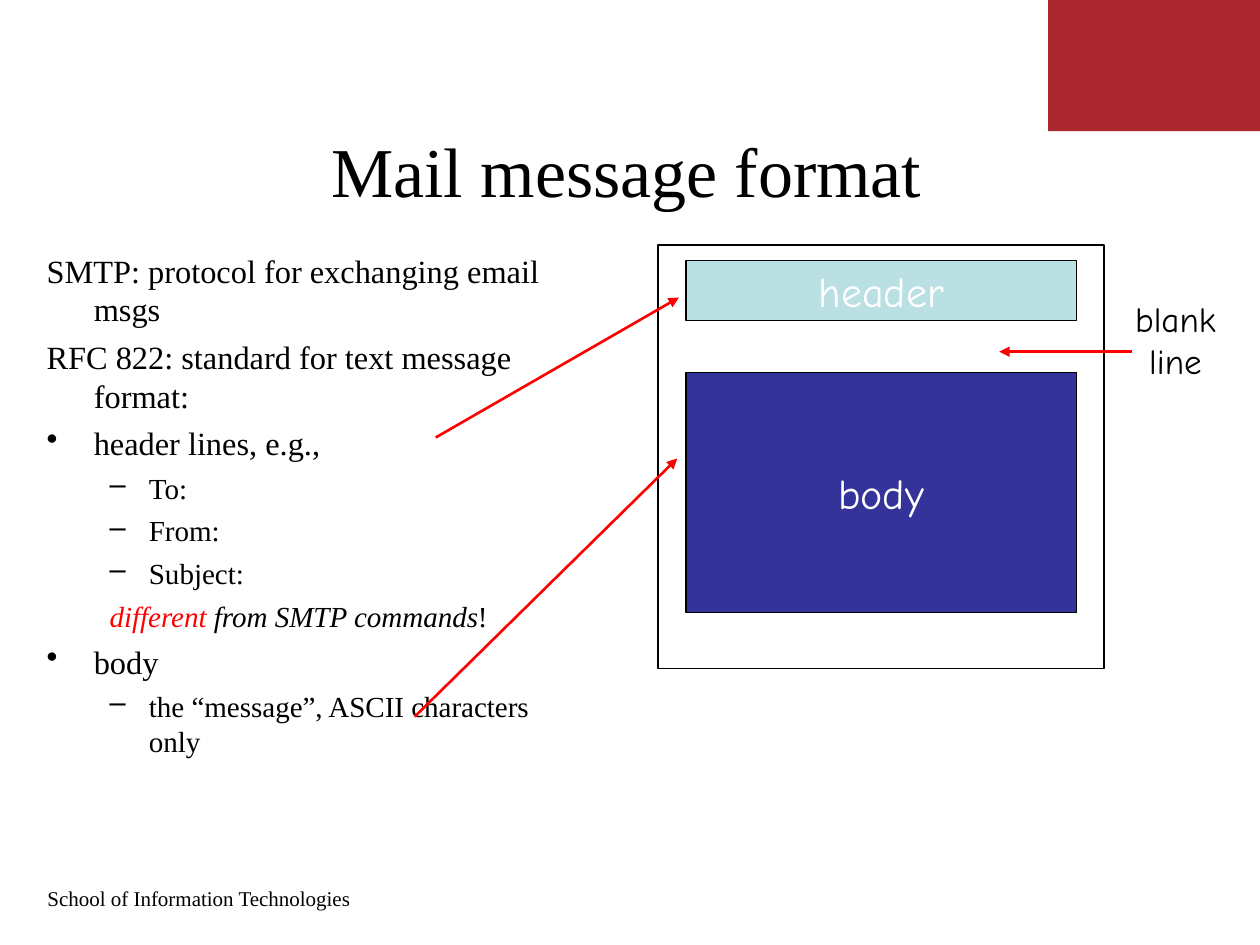
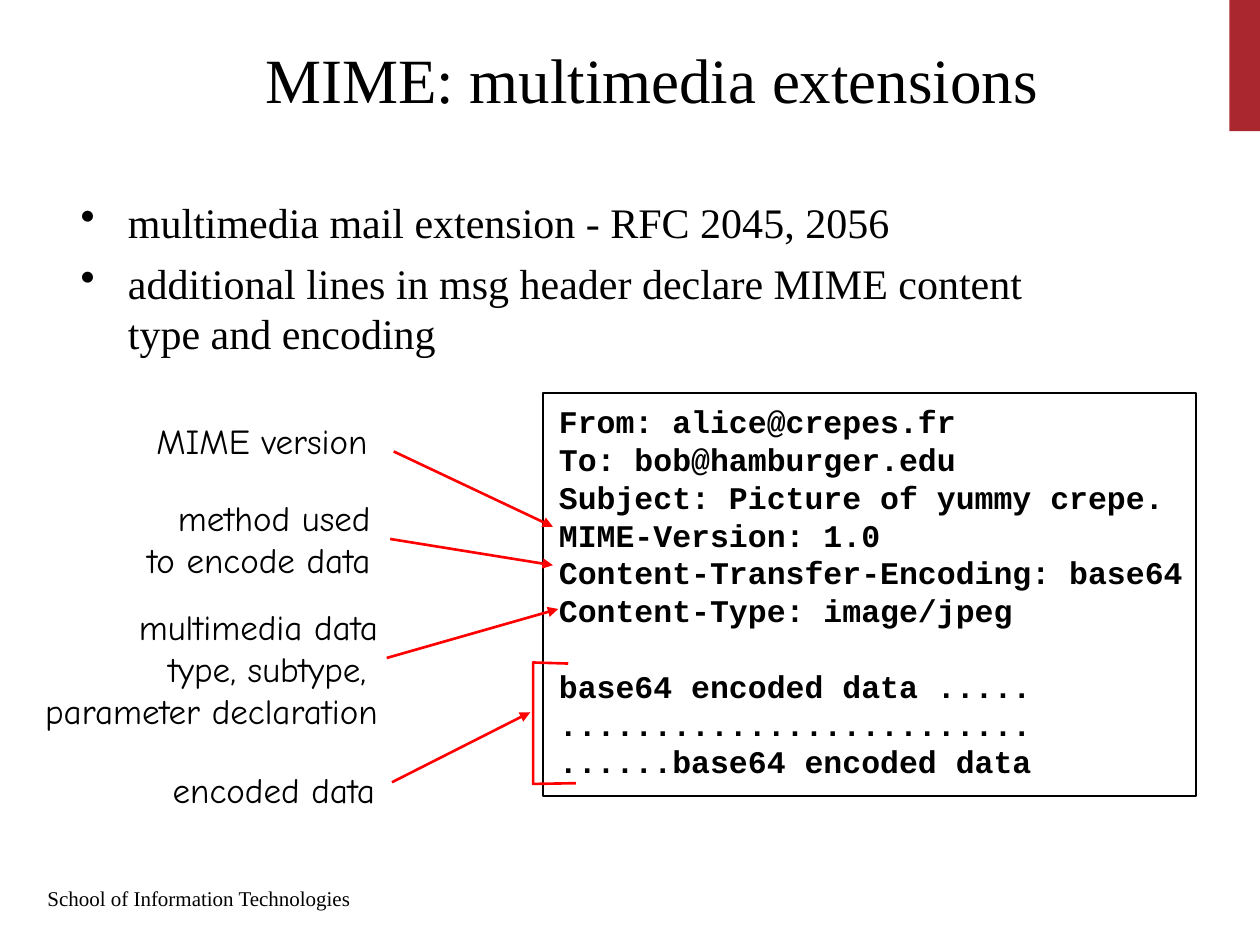
from dataclasses import dataclass
from typing import Optional

from lxml.etree import SubElement
from pptx import Presentation
from pptx.dml.color import RGBColor
from pptx.enum.shapes import MSO_CONNECTOR as Connector, MSO_SHAPE as Preset
from pptx.enum.text import MSO_ANCHOR as Anchor, PP_ALIGN as Align
from pptx.oxml.ns import qn
from pptx.util import Pt

BLACK = RGBColor(0x00, 0x00, 0x00)
WHITE = RGBColor(0xFF, 0xFF, 0xFF)
RED = RGBColor(0xFF, 0x00, 0x00)
BAND_RED = RGBColor(0xAB, 0x27, 0x30)
HEADER_TEAL = RGBColor(0xBB, 0xE0, 0xE3)
BODY_BLUE = RGBColor(0x33, 0x33, 0x99)
SERIF, CASUAL, MONO = "Times New Roman", "Comic Neue", "Courier New"
LINE_HEIGHT = 1.2


@dataclass(frozen=True)
class Box:
    """A rectangle in points."""
    left: float
    top: float
    width: float
    height: float

    def lengths(self) -> tuple:
        """Return left, top, width and height as lengths."""
        return Pt(self.left), Pt(self.top), Pt(self.width), Pt(self.height)


@dataclass(frozen=True)
class Style:
    """The look of a paragraph, with lengths in points."""
    size: float
    font: str = SERIF
    color: RGBColor = BLACK
    bold: bool = False
    align: Align = Align.LEFT
    before: float = 0
    margin: float = 0
    hanging: float = 0
    bullet: str = ""


@dataclass(frozen=True)
class Line:
    """A paragraph of text with its style."""
    text: str
    style: Style


@dataclass(frozen=True)
class Label:
    """A caption and the arrow that leads from it."""
    box: Box
    text: str
    align: Align
    arrow: tuple


FOOTER = Style(12)
CAPTION_SIZE = 20
PART = Style(24, CASUAL, WHITE, align=Align.CENTER)
PLAIN = Style(18.5, before=5, margin=27, hanging=27)
BULLET = Style(18.5, before=5, margin=27, hanging=27, bullet="•")
DASH = Style(16.6, before=4.5, margin=58.5, hanging=22.5, bullet="–")
REMARK = Style(16.6, before=4.5, margin=58.5, hanging=22.5)
TOPIC = Style(24, before=6, margin=27, hanging=27, bullet="•")
CODE = Style(18, MONO, bold=True)
CODE_AFTER_GAP = Style(18, MONO, bold=True, before=18 * LINE_HEIGHT)

FORMAT_LINES = [
    Line("SMTP: protocol for exchanging email msgs", PLAIN),
    Line("RFC 822: standard for text message format:", PLAIN),
    Line("header lines, e.g.,", BULLET),
    Line("To:", DASH),
    Line("From:", DASH),
    Line("Subject:", DASH),
    Line("", REMARK),
    Line("body", BULLET),
    Line("the “message”, ASCII characters only", DASH),
]
REMARK_INDEX = 6
REMARK_RUNS = [("different ", RED, True), ("from SMTP commands", BLACK, True), ("!", BLACK, False)]
FORMAT_ARROWS = [(249, 250, 388, 170), (237, 409.5, 387, 262)]
BLANK_LINE = Label(Box(641.5, 166.3, 60.5, 55.4), "blank\nline", Align.CENTER, (647, 201, 571, 201))

MIME_LINES = [
    Line("multimedia mail extension - RFC 2045, 2056", TOPIC),
    Line("additional lines in msg header declare MIME content type and encoding", TOPIC),
]
MAIL_HEADER = [
    "From: alice@crepes.fr",
    "To: bob@hamburger.edu",
    "Subject: Picture of yummy crepe.",
    "MIME-Version: 1.0",
    "Content-Transfer-Encoding: base64",
    "Content-Type: image/jpeg",
]
MAIL_DATA = ["base64 encoded data .....", ".........................", "......base64 encoded data"]
MIME_LABELS = [
    Label(Box(82, 236, 135.4, 31.7), "MIME version", Align.CENTER, (225, 258, 316, 301)),
    Label(Box(75.6, 280, 143.3, 55.4), "method used\nto encode data", Align.RIGHT, (223, 308, 316, 323)),
    Label(Box(17.3, 342.5, 205.9, 79.2), "multimedia data\ntype, subtype, \nparameter declaration",
          Align.RIGHT, (221, 376, 319, 348)),
    Label(Box(91.4, 435.5, 130.3, 31.7), "encoded data", Align.CENTER, (224, 447, 303, 407)),
]
DATA_BRACKET = [(324.7, 379.2), (304.6, 378.6), (304.6, 448), (329, 447.6)]


def style_paragraph(paragraph, style: Style) -> None:
    """Apply a style to a paragraph."""
    properties = paragraph._p.get_or_add_pPr()
    properties.set("marL", str(Pt(style.margin)))
    properties.set("indent", str(-Pt(style.hanging)))
    if style.bullet:
        SubElement(properties, qn("a:buChar")).set("char", style.bullet)
    paragraph.alignment = style.align
    paragraph.line_spacing = Pt(round(style.size * LINE_HEIGHT, 1))
    paragraph.space_before = Pt(style.before)
    paragraph.font.name = style.font
    paragraph.font.size = Pt(style.size)
    paragraph.font.bold = style.bold
    paragraph.font.color.rgb = style.color


def write(shape, lines: list[Line], wrap: bool = True, anchor: Anchor = Anchor.TOP) -> None:
    """Fill a shape with styled paragraphs."""
    frame = shape.text_frame
    frame.word_wrap = wrap
    frame.vertical_anchor = anchor
    for index, line in enumerate(lines):
        paragraph = frame.paragraphs[0] if index == 0 else frame.add_paragraph()
        style_paragraph(paragraph, line.style)
        if line.text:
            paragraph.add_run().text = line.text


def add_text(slide, box: Box, lines: list[Line], wrap: bool = True, anchor: Anchor = Anchor.TOP):
    """Add a text box and return it."""
    shape = slide.shapes.add_textbox(*box.lengths())
    write(shape, lines, wrap, anchor)
    return shape


def add_rectangle(slide, box: Box, fill: Optional[RGBColor] = None, line_width: float = 0):
    """Add a rectangle with an optional fill and black outline."""
    shape = slide.shapes.add_shape(Preset.RECTANGLE, *box.lengths())
    shape.shadow.inherit = False
    if fill is None:
        shape.fill.background()
    else:
        shape.fill.solid()
        shape.fill.fore_color.rgb = fill
    if line_width:
        shape.line.color.rgb = BLACK
        shape.line.width = Pt(line_width)
    else:
        shape.line.fill.background()
    return shape


def add_arrow(slide, ends: tuple) -> None:
    """Add a red arrow between two points."""
    connector = slide.shapes.add_connector(Connector.STRAIGHT, *map(Pt, ends))
    connector.line.color.rgb = RED
    connector.line.width = Pt(1.5)
    SubElement(connector.line._get_or_add_ln(), qn("a:tailEnd")).set("type", "triangle")
    SubElement(connector._element.spPr, qn("a:effectLst"))


def add_label(slide, label: Label) -> None:
    """Add a caption with its arrow."""
    style = Style(CAPTION_SIZE, CASUAL, align=label.align)
    add_text(slide, label.box, [Line(text, style) for text in label.text.split("\n")], wrap=False)
    add_arrow(slide, label.arrow)


def add_bracket(slide, points: list[tuple]) -> None:
    """Add an open red outline through the points."""
    start, *others = [(Pt(x), Pt(y)) for x, y in points]
    builder = slide.shapes.build_freeform(*start)
    builder.add_line_segments(others, close=False)
    shape = builder.convert_to_shape()
    shape.shadow.inherit = False
    shape.fill.background()
    shape.line.color.rgb = RED
    shape.line.width = Pt(1.5)


def start_slide(presentation, title: str, title_box: Box, title_size: float,
                title_fill: Optional[RGBColor] = None):
    """Add a slide with the footer, the corner band and a title."""
    slide = presentation.slides.add_slide(presentation.slide_layouts[6])
    add_text(slide, Box(20, 502.5, 188.6, 21.6),
             [Line("School of Information Technologies", FOOTER)], wrap=False)
    add_rectangle(slide, Box(599, 0, 121, 75), BAND_RED)
    title_shape = add_rectangle(slide, title_box, title_fill)
    write(title_shape, [Line(title, Style(title_size, align=Align.CENTER))], anchor=Anchor.MIDDLE)
    return slide


def build_format_slide(presentation) -> None:
    """Build the slide on the parts of a mail message."""
    slide = start_slide(presentation, "Mail message format", Box(82, 54.7, 552, 84.2), 40)
    text = add_text(slide, Box(19.5, 139.7, 300, 306), FORMAT_LINES)
    remark = text.text_frame.paragraphs[REMARK_INDEX]
    for words, color, italic in REMARK_RUNS:
        run = remark.add_run()
        run.text = words
        run.font.color.rgb = color
        run.font.italic = italic
    for name, top, height, fill in [("header", 149, 34, HEADER_TEAL), ("body", 213, 137, BODY_BLUE)]:
        part = add_rectangle(slide, Box(392, top, 223, height), fill, 0.75)
        write(part, [Line(name, PART)], wrap=False, anchor=Anchor.MIDDLE)
    add_rectangle(slide, Box(376, 140, 255, 242), line_width=1)
    for ends in FORMAT_ARROWS:
        add_arrow(slide, ends)
    add_label(slide, BLANK_LINE)


def build_mime_slide(presentation) -> None:
    """Build the slide on the MIME header lines."""
    slide = start_slide(presentation, "MIME: multimedia extensions", Box(42.5, 0, 660, 90), 36, WHITE)
    add_text(slide, Box(39, 108.7, 576.7, 365.8), MIME_LINES)
    first_data, *more_data = MAIL_DATA
    mail = [Line(text, CODE) for text in MAIL_HEADER]
    mail.append(Line(first_data, CODE_AFTER_GAP))
    mail += [Line(text, CODE) for text in more_data]
    add_text(slide, Box(312.3, 226.3, 391.7, 244.8), mail)
    add_rectangle(slide, Box(310.3, 224.6, 373, 230.4), line_width=1)
    for label in MIME_LABELS:
        add_label(slide, label)
    add_bracket(slide, DATA_BRACKET)


def main() -> None:
    """Build and save the presentation."""
    presentation = Presentation()
    presentation.slide_width, presentation.slide_height = Pt(720), Pt(540)
    build_format_slide(presentation)
    build_mime_slide(presentation)
    presentation.save("out.pptx")


if __name__ == "__main__":
    main()
